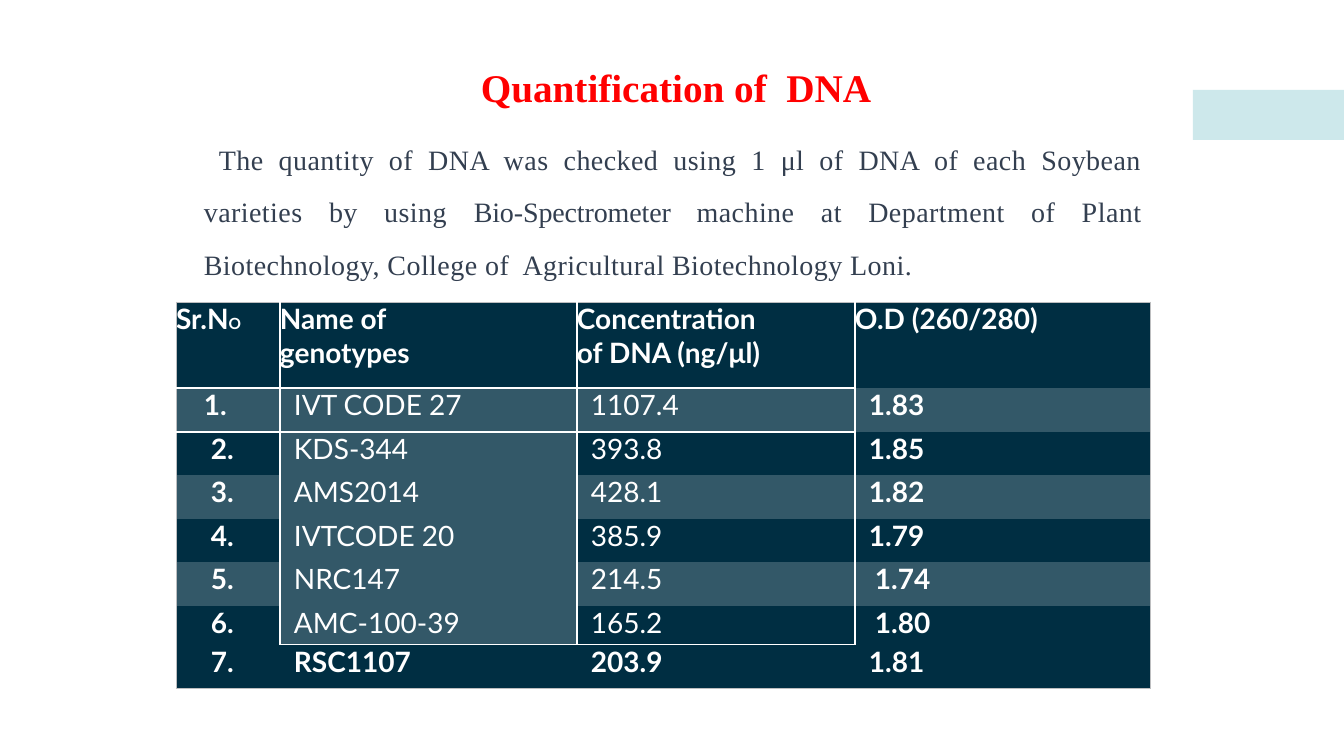
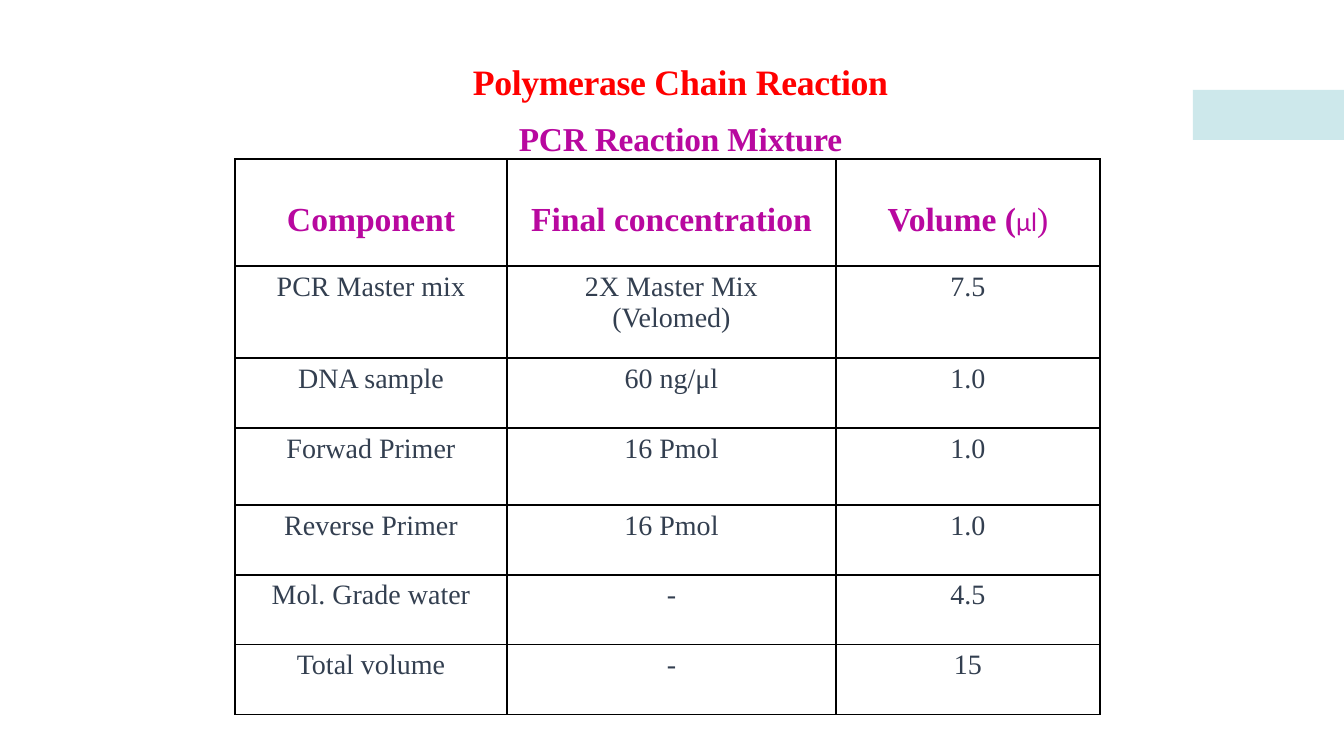
"""Builds two slides on DNA quantification and the PCR reaction mixture."""
from lxml.etree import SubElement
from pptx import Presentation
from pptx.dml.color import RGBColor
from pptx.enum.shapes import MSO_SHAPE
from pptx.enum.text import MSO_ANCHOR as ANCHOR, PP_ALIGN as ALIGN
from pptx.oxml.ns import qn
from pptx.util import Pt

PX = 914400 / 100.8
SERIF, SANS = "Times New Roman", "Lato"
NO_GRID_STYLE = "{2D5ABB26-0587-4C30-8999-92F81FD0307C}"
COLOURS = {
    "band": "9CD3D9", "title": "FF0000", "heading": "B8089F", "body": "333F50",
    "dark": "002E42", "light": "335868", "white": "FFFFFF", "frame": "BDBEC0",
    "black": "000000",
}


def style_span(span, size, face, colour, bold=False, spacing=0):
    """Set the look of one run; spacing is in hundredths of a point."""
    span.font.size = Pt(size)
    span.font.name = face
    span.font.bold = bold
    span.font.color.rgb = RGBColor.from_string(COLOURS[colour])
    if spacing:
        span.font._element.set("spc", str(spacing))


def set_borders(cell, edges):
    """Draw the left, right, top and bottom edges that are given."""
    for side, edge in zip("LRTB", edges):
        if edge:
            colour, width = edge
            line = SubElement(cell._tc.get_or_add_tcPr(), qn(f"a:ln{side}"), w=str(Pt(width)))
            SubElement(SubElement(line, qn("a:solidFill")), qn("a:srgbClr"), val=COLOURS[colour])


deck = Presentation()
deck.slide_width, deck.slide_height = round(1344 * PX), round(756 * PX)

DNA_ROWS = [
    ("Sr.N", "Name of genotypes", "Concentration of DNA (ng/μl)", "O.D (260/280)"),
    ("1.", "IVT CODE 27", "1107.4", "1.83"),
    ("2.", "KDS-344", "393.8", "1.85"),
    ("3.", "AMS2014", "428.1", "1.82"),
    ("4.", "IVTCODE 20", "385.9", "1.79"),
    ("5.", "NRC147", "214.5", "1.74"),
    ("6.", "AMC-100-39", "165.2", "1.80"),
    ("7.", "RSC1107", "203.9", "1.81"),
]
PCR_ROWS = [
    ("Component", "Final concentration", "Volume ("),
    ("PCR Master mix", "2X Master Mix\n(Velomed)", "7.5"),
    ("DNA sample", "60 ng/μl", "1.0"),
    ("Forwad Primer", "16 Pmol", "1.0"),
    ("Reverse Primer", "16 Pmol", "1.0"),
    ("Mol. Grade water", "-", "4.5"),
    ("Total volume", "-", "15"),
]
TABLES = [
    ((176, 302), (104, 297, 278, 295), (86, 44, 43, 44, 43, 44, 39, 44), DNA_ROWS),
    ((235, 159), (272, 329, 264), (107, 92, 70, 77, 70, 70, 70), PCR_ROWS),
]

pages, tables = [], []
for (left, top), widths, heights, rows in TABLES:
    page = deck.slides.add_slide(deck.slide_layouts[6])
    band = page.shapes.add_shape(MSO_SHAPE.RECTANGLE, *(round(n * PX) for n in (1193, 90, 151, 50)))
    band.shadow.inherit = False
    band.line.fill.background()
    band.fill.solid()
    band.fill.fore_color.rgb = RGBColor.from_string(COLOURS["band"])
    tint = band._element.spPr.find(".//" + qn("a:srgbClr"))
    SubElement(tint, qn("a:alpha"), val="50000")

    place = (left, top, sum(widths), sum(heights))
    table = page.shapes.add_table(len(rows), len(widths), *(round(n * PX) for n in place)).table
    table.first_row = table.horz_banding = False
    table._tbl.tblPr.find(qn("a:tableStyleId")).text = NO_GRID_STYLE
    for column, width in zip(table.columns, widths):
        column.width = round(width * PX)
    for row, height, texts in zip(table.rows, heights, rows):
        row.height = round(height * PX)
        for cell, text in zip(row.cells, texts):
            cell.text_frame.text = text
    pages.append(page)
    tables.append(table)

dna_table, pcr_table = tables
last = len(DNA_ROWS) - 1
frame, thin, thick = ("frame", 0.5), ("white", 1), ("white", 1.5)
upright = {(r, c): thin for r in range(last) for c in (1, 3)}
upright.update({(r, c): frame for r in range(last + 1) for c in (0, 4)})
level = {(r, c): frame for r in (0, last + 1) for c in range(4)}
level.update({(1, c): thick for c in range(3)})
level.update({(last, c): thin for c in (1, 2)})
indents = {(r, c): 35 if c == 0 else 14 for r in range(1, last + 1) for c in range(4)}
indents.update({(1, 0): 28, (5, 3): 20, (6, 3): 20})
wrap_margins = {(0, 1): 90, (0, 2): 70}

for r in range(last + 1):
    for c in range(4):
        cell = dna_table.cell(r, c)
        cell.margin_top = cell.margin_bottom = 0
        cell.margin_left = round(indents.get((r, c), 0) * PX)
        cell.margin_right = round(wrap_margins.get((r, c), 0) * PX)
        set_borders(cell, (upright.get((r, c)), upright.get((r, c + 1)),
                           level.get((r, c)), level.get((r + 1, c))))
        is_light = 0 < r < last and (r % 2 == 1 or c == 1)
        cell.fill.solid()
        cell.fill.fore_color.rgb = RGBColor.from_string(COLOURS["light" if is_light else "dark"])
        is_bold = r in (0, last) or c in (0, 3)
        style_span(cell.text_frame.paragraphs[0].runs[0], 20, SANS, "white", is_bold)

small_letter = dna_table.cell(0, 0).text_frame.paragraphs[0].add_run()
small_letter.text = "O"
style_span(small_letter, 11, SANS, "white", True)

for r in range(len(PCR_ROWS)):
    for cell in pcr_table.rows[r].cells:
        set_borders(cell, [("black", 1)] * 4)
        cell.fill.background()
        for para in cell.text_frame.paragraphs:
            para.alignment = ALIGN.CENTER
            if r == 0:
                para.line_spacing = 2.0
                style_span(para.runs[0], 24, SERIF, "heading", True)
            else:
                style_span(para.runs[0], 20, SERIF, "body")

volume_heading = pcr_table.cell(0, 2).text_frame.paragraphs[0]
for text, size, face in (("μl", 18, SANS), (")", 24, SERIF)):
    span = volume_heading.add_run()
    span.text = text
    style_span(span, size, face, "heading")

BODY = (20, SERIF, "body", False)
RED = (25.5, SERIF, "title", True)
TEXTS = [
    (pages[0], (194, 101, 958, 202), ANCHOR.MIDDLE, ALIGN.JUSTIFY, 1.57, 15, [[
        ("The quantity of DNA was checked using 1 μl of DNA of each Soybean varieties by using ", *BODY, 30),
        ("Bio-Spectrometer ", *BODY, -10),
        ("machine at Department of Plant Biotechnology, College of  Agricultural Biotechnology Loni.", *BODY, 30),
    ]]),
    (pages[0], (471, 58, 436, 58), ANCHOR.TOP, ALIGN.LEFT, 1.0, 0, [[
        ("Quantification of  DNA", 28, SERIF, "title", True, 0),
    ]]),
    (pages[1], (252, 42, 857, 118), ANCHOR.MIDDLE, ALIGN.CENTER, 1.38, 0, [
        [("Polymerase ", *RED, -30), ("Chain ", *RED, -10), ("Reaction", *RED, -30)],
        [("PCR Reaction Mixture", 23.8, SERIF, "heading", True, -10)],
    ]),
]
for page, place, anchor, alignment, spacing, indent, paragraphs in TEXTS:
    box = page.shapes.add_textbox(*(round(n * PX) for n in place))
    frame_text = box.text_frame
    frame_text.word_wrap = True
    frame_text.vertical_anchor = anchor
    for number, spans in enumerate(paragraphs):
        para = frame_text.add_paragraph() if number else frame_text.paragraphs[0]
        para.alignment = alignment
        para.line_spacing = spacing
        if indent:
            para._p.get_or_add_pPr().set("indent", str(round(indent * PX)))
        for text, *look in spans:
            span = para.add_run()
            span.text = text
            style_span(span, *look)

deck.save("out.pptx")
